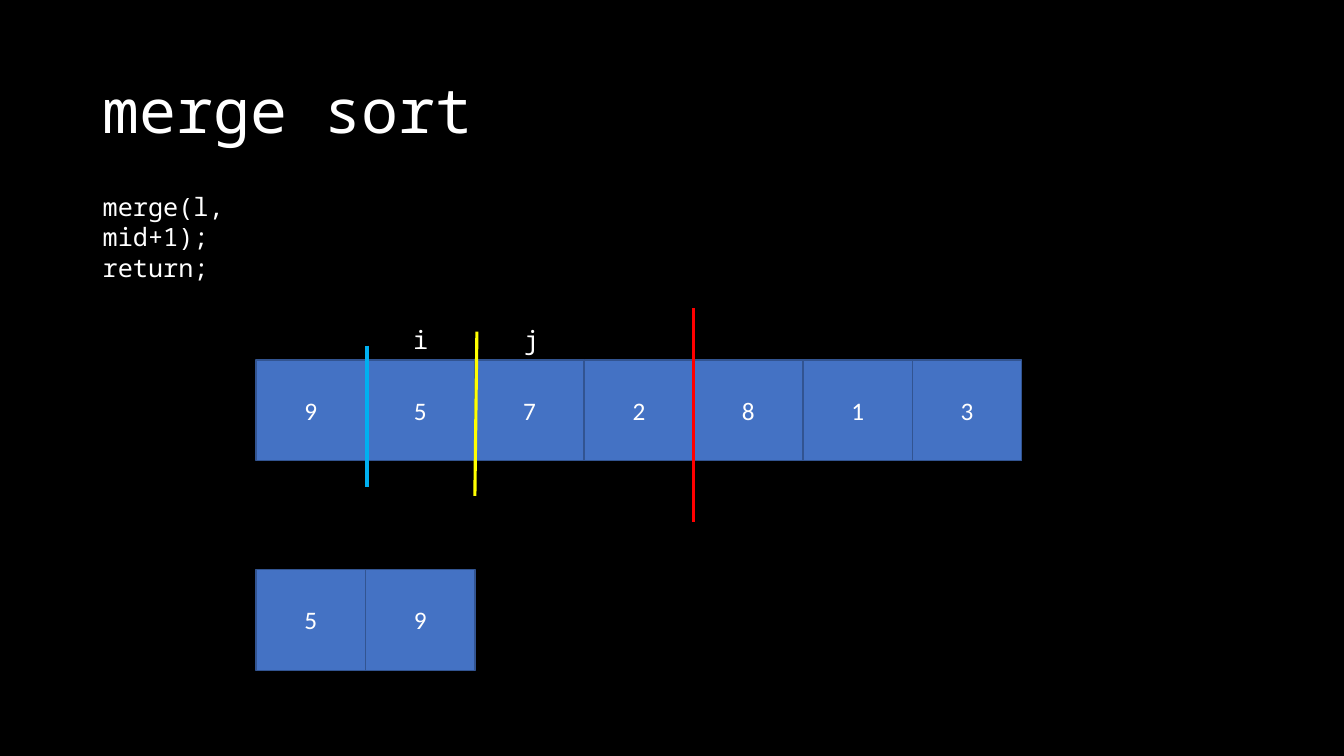
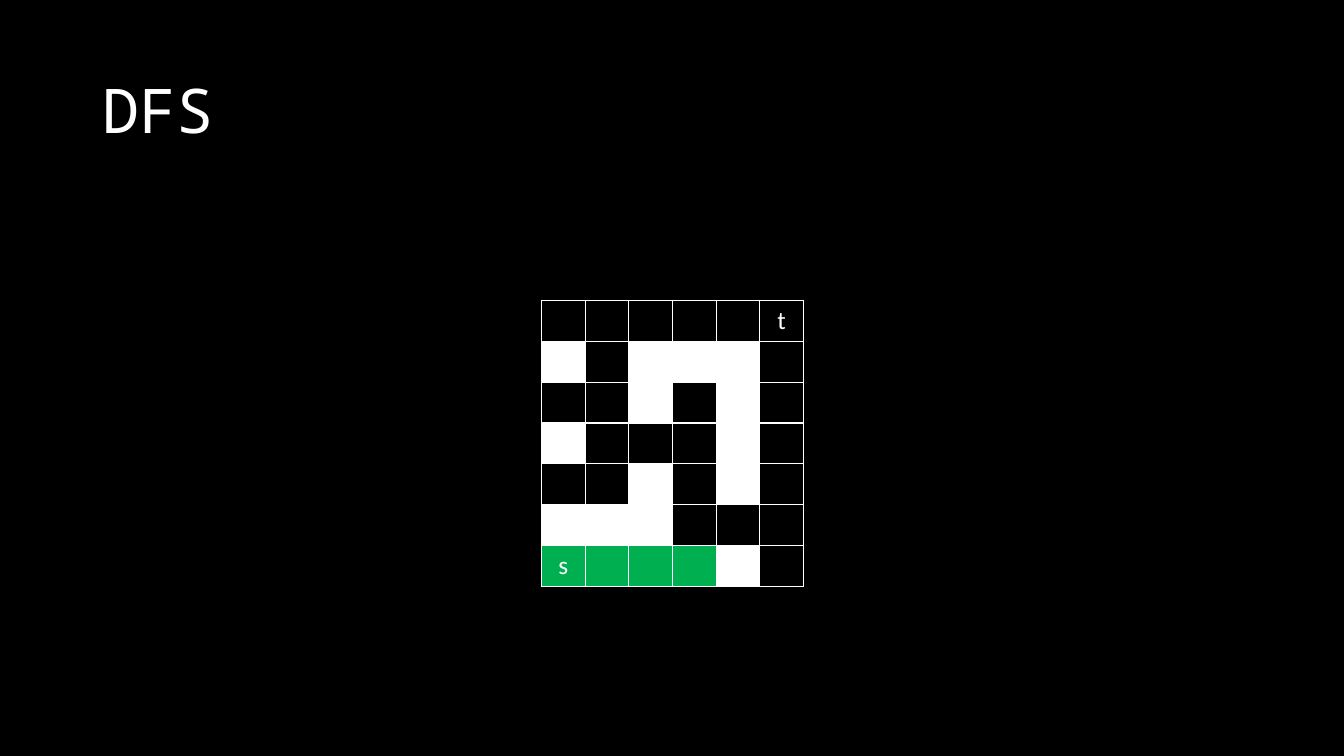
from lxml import etree
from pptx import Presentation
from pptx.dml.color import RGBColor
from pptx.enum.shapes import MSO_CONNECTOR, MSO_SHAPE
from pptx.enum.text import MSO_ANCHOR, PP_ALIGN
from pptx.oxml import parse_xml
from pptx.oxml.ns import nsdecls, qn
from pptx.util import Inches, Pt

STRAIGHT = MSO_CONNECTOR.STRAIGHT
RECTANGLE = MSO_SHAPE.RECTANGLE
MIDDLE, TOP = MSO_ANCHOR.MIDDLE, MSO_ANCHOR.TOP
LEFT, CENTER = PP_ALIGN.LEFT, PP_ALIGN.CENTER

COLORS = {
    "background": "000000",
    "text": "FFFFFF",
    "box": "4472C4",
    "box_line": "325491",
    "half": "FF0000",
    "quarter": "FFFF00",
    "eighth": "00B0F0",
    "wall": "FFFFFF",
    "visited": "00B050",
    "grid": "FFFFFF",
}
MONO, SANS = "Noto Sans Mono", "Calibri"
TITLE_ONLY = 5
BOX_WIDTH, BOX_HEIGHT = 1.085, 1
ARRAY_LEFT, ARRAY_TOP, MERGED_TOP = 2.54, 3.57, 5.65

MAZE = [
    ".....t",
    "#.###.",
    "..#.#.",
    "#...#.",
    "..#.#.",
    "###...",
    "sooo#.",
]
CELL_FILLS = {"#": "wall", "s": "visited", "o": "visited"}


def color(name):
    return RGBColor.from_string(COLORS[name])


def write_text(frame, text, font=MONO, size=18, align=LEFT, anchor=TOP,
               wrap=True, line_spacing=None):
    frame.word_wrap = wrap
    frame.vertical_anchor = anchor
    frame.text = text
    for paragraph in frame.paragraphs:
        paragraph.alignment = align
        paragraph.line_spacing = line_spacing
        for run in paragraph.runs:
            run.font.name = font
            run.font.size = Pt(size)
            run.font.color.rgb = color("text")


def add_label(slide, text, left, top, width, height, **text_format):
    label = slide.shapes.add_textbox(
        Inches(left), Inches(top), Inches(width), Inches(height))
    write_text(label.text_frame, text, **text_format)


def add_titled_slide(presentation, text):
    slide = presentation.slides.add_slide(presentation.slide_layouts[TITLE_ONLY])
    title = slide.shapes.title
    title.left, title.top = Inches(0.92), Inches(0.4)
    title.width, title.height = Inches(11.5), Inches(1.45)
    write_text(title.text_frame, text, size=44, anchor=MIDDLE, line_spacing=0.9)
    return slide


def add_array(slide, values, left, top):
    for index, value in enumerate(values):
        box = slide.shapes.add_shape(
            RECTANGLE, Inches(left + index * BOX_WIDTH), Inches(top),
            Inches(BOX_WIDTH), Inches(BOX_HEIGHT))
        box.shadow.inherit = False
        box.fill.solid()
        box.fill.fore_color.rgb = color("box")
        box.line.color.rgb = color("box_line")
        box.line.width = Pt(1)
        write_text(box.text_frame, str(value), font=SANS, align=CENTER, anchor=MIDDLE)


def add_divider(slide, start, end, color_name):
    divider = slide.shapes.add_connector(STRAIGHT, *map(Inches, start + end))
    divider.line.color.rgb = color(color_name)
    divider.line.width = Pt(2.25)
    etree.SubElement(divider._element.spPr, qn("a:effectLst"))


def set_borders(cell, color_name):
    properties = cell._tc.get_or_add_tcPr()
    for position, side in enumerate("LRTB"):
        properties.insert(position, parse_xml(
            f'<a:ln{side} {nsdecls("a")} w="{Pt(1)}"><a:solidFill>'
            f'<a:srgbClr val="{COLORS[color_name]}"/></a:solidFill></a:ln{side}>'))


def add_maze(slide, maze, left, top, width, height):
    rows, columns = len(maze), len(maze[0])
    table = slide.shapes.add_table(
        rows, columns, Inches(left), Inches(top), Inches(width), Inches(height)).table
    table.first_row = False
    table.horz_banding = False
    for row_index, row in enumerate(maze):
        for column_index, mark in enumerate(row):
            cell = table.cell(row_index, column_index)
            if mark in CELL_FILLS:
                cell.fill.solid()
                cell.fill.fore_color.rgb = color(CELL_FILLS[mark])
            else:
                cell.fill.background()
            set_borders(cell, "grid")
            if mark in "st":
                write_text(cell.text_frame, mark, font=SANS, align=CENTER)


def build_merge_sort(presentation):
    slide = add_titled_slide(presentation, "merge sort")
    add_array(slide, [9, 5, 7, 2, 8, 1, 3], ARRAY_LEFT, ARRAY_TOP)
    add_divider(slide, (6.88, 3.06), (6.88, 5.18), "half")
    add_divider(slide, (4.73, 3.29), (4.71, 4.92), "quarter")
    add_array(slide, [5, 9], ARRAY_LEFT, MERGED_TOP)
    for text, left in (("i", 4), ("j", 5.1)):
        add_label(slide, text, left, 3.17, 0.34, 0.4, wrap=False)
    add_divider(slide, (3.64, 3.43), (3.64, 4.83), "eighth")
    add_label(slide, "merge(l, mid+1);\nreturn;", 0.92, 1.85, 2.42, 0.71)


def build_dfs(presentation):
    slide = add_titled_slide(presentation, "DFS")
    add_maze(slide, MAZE, 5.37, 2.98, 2.6, 2.84)


def main():
    presentation = Presentation()
    presentation.slide_width = Inches(13.33)
    presentation.slide_height = Inches(7.5)
    background = presentation.slide_master.background.fill
    background.solid()
    background.fore_color.rgb = color("background")
    build_merge_sort(presentation)
    build_dfs(presentation)
    presentation.save("out.pptx")


if __name__ == "__main__":
    main()
